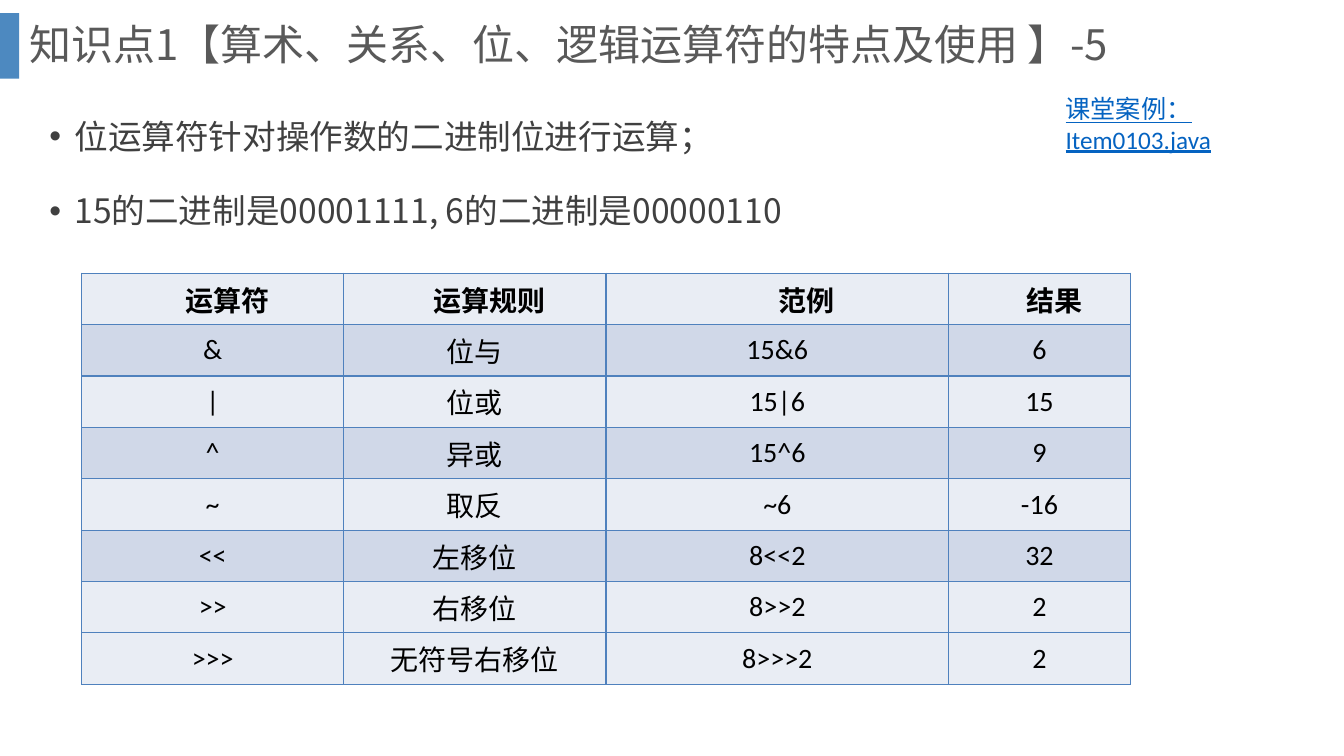
"""Build the slide on bitwise operators and their results."""
from dataclasses import dataclass

from lxml.etree import SubElement
from pptx import Presentation
from pptx.dml.color import RGBColor
from pptx.enum.shapes import MSO_SHAPE
from pptx.enum.text import MSO_ANCHOR, MSO_AUTO_SIZE, PP_ALIGN
from pptx.oxml.ns import qn
from pptx.util import Inches, Pt

CJK_FONT = "Noto Sans CJK SC"
LATIN_FONT = "Calibri"
LIGHT_BAND = "E9EDF4"
DARK_BAND = "D0D8E8"
BORDER_COLOR = "4F81BD"
ROW_HEIGHT = 0.51


@dataclass
class TextBlock:
    left: float
    top: float
    width: float
    height: float
    paragraphs: list[str]
    size: float
    font: str
    color: str
    line_spacing: float = 1.0
    space_before: float = 0
    anchor: MSO_ANCHOR = MSO_ANCHOR.TOP
    auto_size: MSO_AUTO_SIZE = MSO_AUTO_SIZE.NONE
    bulleted: bool = False
    underlined: bool = False


@dataclass
class Column:
    heading: str
    width: float
    heading_indent: float
    values: list[str]


TEXT_BLOCKS = [
    TextBlock(0.39, 0.9, 12.05, 1.58,
              ["位运算符针对操作数的二进制位进行运算；",
               "15的二进制是00001111, 6的二进制是00000110"],
              24, CJK_FONT, "404040", line_spacing=1.5, space_before=10,
              auto_size=MSO_AUTO_SIZE.TEXT_TO_FIT_SHAPE, bulleted=True),
    TextBlock(0.19, 0, 12.66, 0.93,
              ["知识点1【算术、关系、位、逻辑运算符的特点及使用 】-5"],
              30, CJK_FONT, "595959", line_spacing=0.9, anchor=MSO_ANCHOR.MIDDLE),
    TextBlock(10.47, 0.88, 2.28, 0.71, ["课堂案例：Item0103.java"],
              18, LATIN_FONT, "0563C1", underlined=True),
]

COLUMNS = [
    Column("运算符", 2.6, 0.29, ["&", "|", "^", "~", "<<", ">>", ">>>"]),
    Column("运算规则", 2.6, 0.29,
           ["位与", "位或", "异或", "取反", "左移位", "右移位", "无符号右移位"]),
    Column("范例", 3.4, 0.57,
           ["15&6", "15|6", "15^6", "~6", "8<<2", "8>>2", "8>>>2"]),
    Column("结果", 1.8, 0.29, ["6", "15", "9", "-16", "32", "2", "2"]),
]
ROW_FILLS = [LIGHT_BAND, DARK_BAND] * 3 + [LIGHT_BAND] * 2


def color_of(value: str) -> RGBColor:
    return RGBColor.from_string(value)


def format_runs(paragraph, size: float, font: str, color: str,
                bold: bool = False, underlined: bool = False) -> None:
    for run in paragraph.runs:
        run.font.size = Pt(size)
        run.font.name = font
        run.font.bold = bold
        run.font.underline = underlined
        run.font.color.rgb = color_of(color)
        SubElement(run.font._element, qn("a:ea"), typeface=CJK_FONT)


def add_bullet(paragraph) -> None:
    properties = paragraph._p.get_or_add_pPr()
    properties.set("marL", str(Inches(0.25)))
    properties.set("indent", str(Inches(-0.25)))
    SubElement(properties, qn("a:buFont"), typeface="Arial")
    SubElement(properties, qn("a:buChar"), char="•")


def add_accent_bar(slide) -> None:
    bar = slide.shapes.add_shape(MSO_SHAPE.RECTANGLE, Inches(0), Inches(0.13),
                                 Inches(0.19), Inches(0.65))
    bar.shadow.inherit = False
    bar.line.fill.background()
    bar.fill.solid()
    bar.fill.fore_color.rgb = color_of("2E75B6")
    fill_color = bar._element.spPr.find(qn("a:solidFill"))[0]
    SubElement(fill_color, qn("a:alpha"), val="85000")


def add_text_block(slide, block: TextBlock) -> None:
    box = slide.shapes.add_textbox(Inches(block.left), Inches(block.top),
                                   Inches(block.width), Inches(block.height))
    frame = box.text_frame
    frame.text = "\n".join(block.paragraphs)
    frame.word_wrap = True
    frame.auto_size = block.auto_size
    frame.vertical_anchor = block.anchor
    for index, paragraph in enumerate(frame.paragraphs):
        if block.bulleted:
            add_bullet(paragraph)
        paragraph.line_spacing = block.line_spacing
        paragraph.space_before = Pt(block.space_before if index else 0)
        format_runs(paragraph, block.size, block.font, block.color,
                    underlined=block.underlined)


def add_borders(cell) -> None:
    properties = cell._tc.get_or_add_tcPr()
    for side in ("lnL", "lnR", "lnT", "lnB"):
        line = SubElement(properties, qn(f"a:{side}"), w=str(Pt(1)))
        fill = SubElement(line, qn("a:solidFill"))
        SubElement(fill, qn("a:srgbClr"), val=BORDER_COLOR)


def fill_cell(cell, text: str, fill: str, indent: float, bold: bool) -> None:
    add_borders(cell)
    cell.fill.solid()
    cell.fill.fore_color.rgb = color_of(fill)
    cell.vertical_anchor = MSO_ANCHOR.MIDDLE
    cell.text_frame.text = text
    paragraph = cell.text_frame.paragraphs[0]
    paragraph.alignment = PP_ALIGN.CENTER
    if indent:
        paragraph._p.get_or_add_pPr().set("indent", str(Inches(indent)))
    format_runs(paragraph, 20, LATIN_FONT, "000000", bold=bold)


def add_operator_table(slide) -> None:
    table = slide.shapes.add_table(
        len(ROW_FILLS), len(COLUMNS), Inches(0.81), Inches(2.71),
        Inches(sum(column.width for column in COLUMNS)),
        Inches(ROW_HEIGHT * len(ROW_FILLS))).table
    for row in table.rows:
        row.height = Inches(ROW_HEIGHT)
    for column_index, column in enumerate(COLUMNS):
        table.columns[column_index].width = Inches(column.width)
        texts = [column.heading, *column.values]
        for row_index, (text, fill) in enumerate(zip(texts, ROW_FILLS)):
            is_heading = row_index == 0
            fill_cell(table.cell(row_index, column_index), text, fill,
                      column.heading_indent if is_heading else 0, is_heading)


def main() -> None:
    presentation = Presentation()
    presentation.slide_width = Inches(13.33)
    presentation.slide_height = Inches(7.5)
    slide = presentation.slides.add_slide(presentation.slide_layouts[6])
    add_accent_bar(slide)
    for block in TEXT_BLOCKS[:2]:
        add_text_block(slide, block)
    add_operator_table(slide)
    add_text_block(slide, TEXT_BLOCKS[2])
    presentation.save("out.pptx")


if __name__ == "__main__":
    main()
